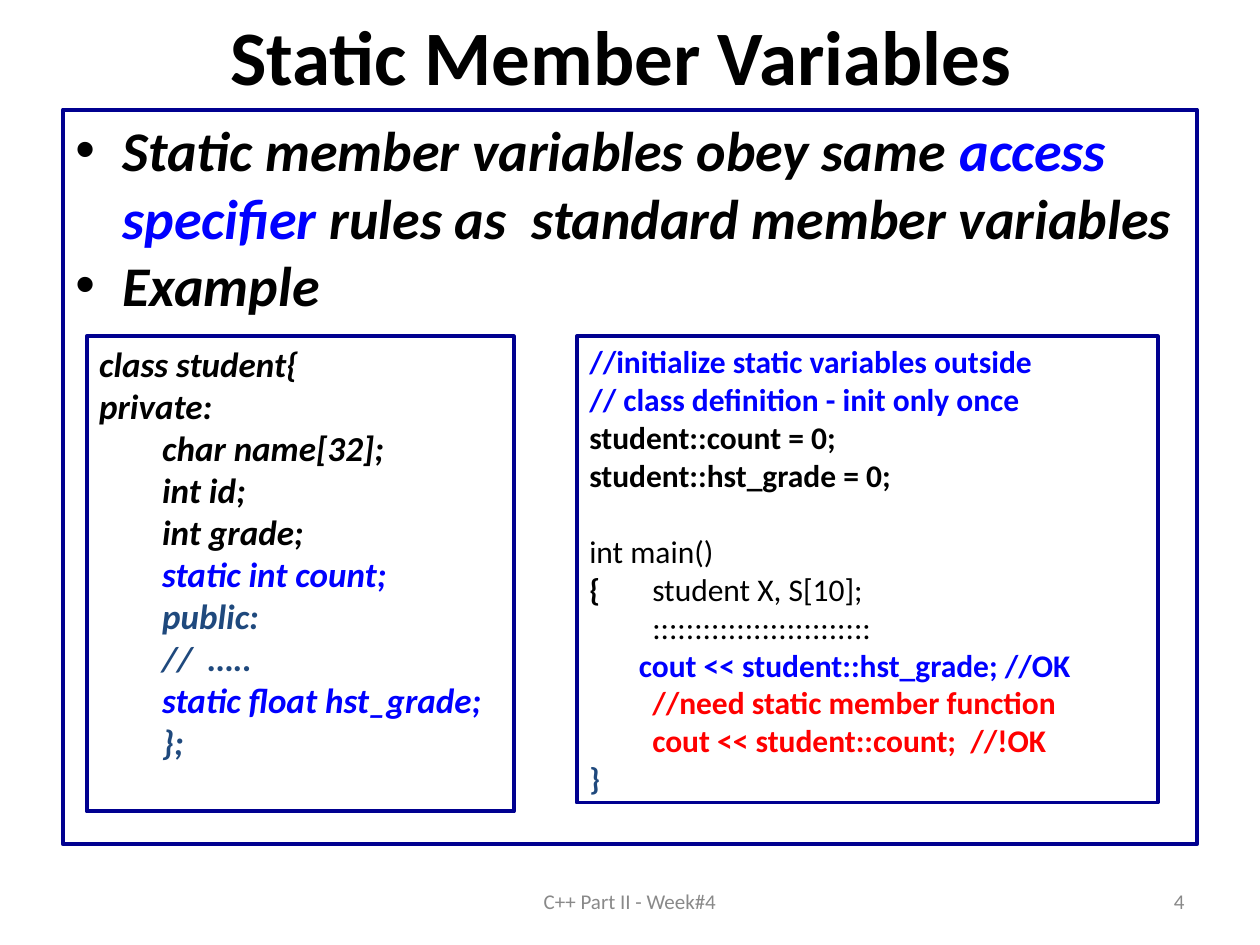
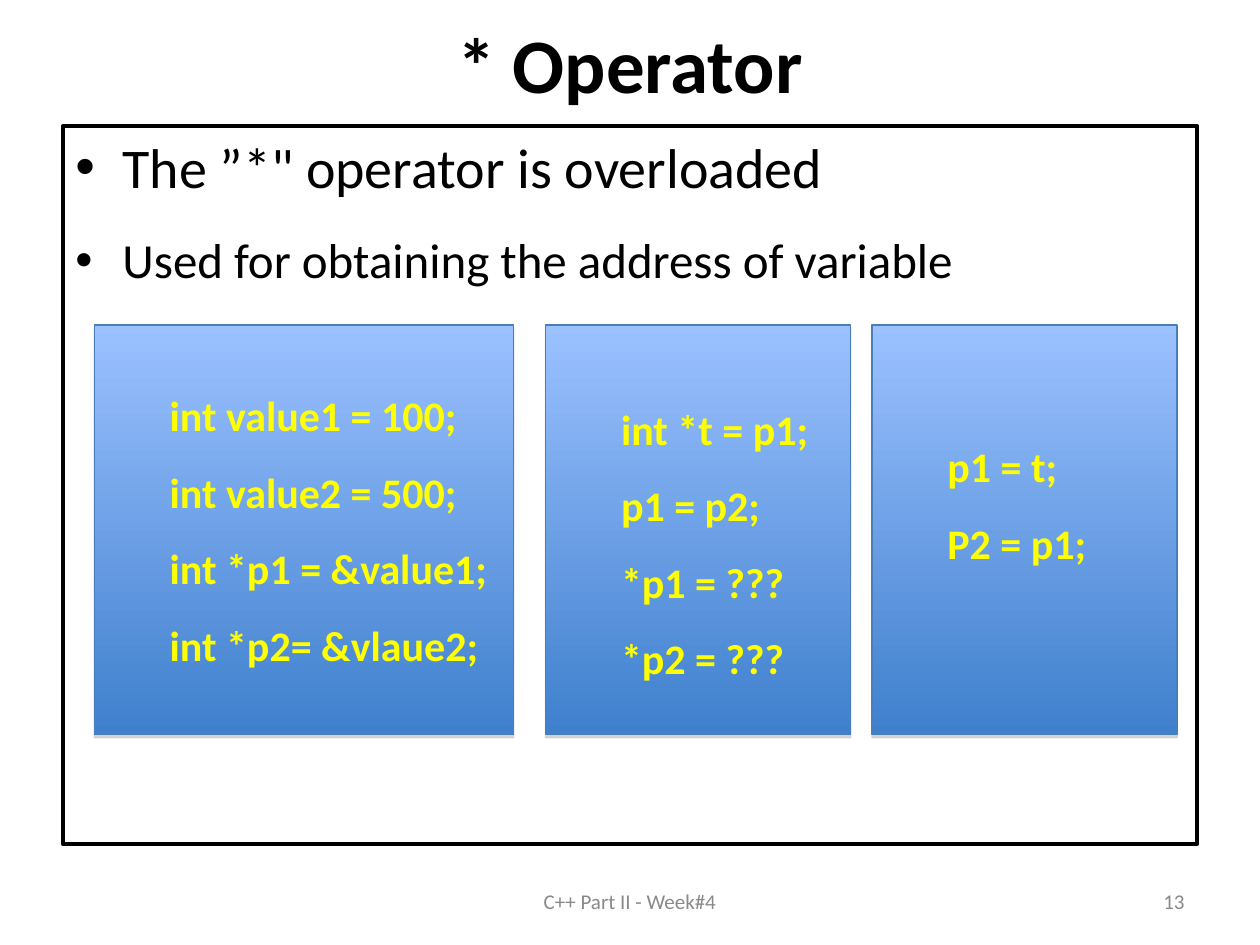
"""Build two C++ lecture slides: static member variables and the * operator."""
from dataclasses import dataclass

from lxml.etree import SubElement
from pptx import Presentation
from pptx.dml.color import RGBColor
from pptx.enum.shapes import MSO_SHAPE
from pptx.enum.text import MSO_ANCHOR, MSO_AUTO_SIZE, PP_ALIGN
from pptx.oxml import parse_xml
from pptx.oxml.ns import nsdecls, qn
from pptx.util import Cm, Pt

FONT = "Calibri"
BLACK, NAVY, BLUE = "000000", "000090", "0000FF"
STEEL, RED, YELLOW, GREY = "1F497D", "FF0000", "FFFF00", "898989"
SKY, OCEAN, EDGE = "9BC1FF", "3F80CD", "4A7EBB"
FRAME_LEFT, FRAME_WIDTH, FRAME_BOTTOM = 1.27, 22.86, 17.02
TAB = 1.27
FOOTER = "C++ Part II - Week#4"


def colour(code):
    """Turn a hex string into a colour."""
    return RGBColor.from_string(code)


@dataclass
class Span:
    """A piece of text with its own look; None keeps the look of the box."""
    text: str
    ink: str = None
    bold: bool = None


@dataclass
class Line:
    """One paragraph made of spans."""
    spans: list
    indent: float = 0
    before: float = 0
    size: float = None
    bullet: bool = False
    tab: float = 0


def line(text, ink=None, bold=None, **layout):
    """Make a paragraph of a single span."""
    return Line([Span(text, ink, bold)], **layout)


class Lecture:
    """Holds the deck, its style and the current page."""

    def __init__(self):
        """Start an empty 4:3 deck."""
        self.deck = Presentation()
        self.deck.slide_width, self.deck.slide_height = Cm(25.4), Cm(19.05)
        self.page = None

    def new_page(self, title, title_height, number):
        """Add a page with its title, footer and number."""
        self.page = self.deck.slides.add_slide(self.deck.slide_layouts[5])
        heading = self.page.shapes.title
        heading.left, heading.top = Cm(FRAME_LEFT), Cm(0)
        heading.width, heading.height = Cm(FRAME_WIDTH), Cm(title_height)
        self.set_text(heading, [line(title)], 44, bold=True,
                      align=PP_ALIGN.CENTER, anchor=MSO_ANCHOR.MIDDLE)
        self.footer(FOOTER, 8.68, 8.04, PP_ALIGN.CENTER)
        self.footer(str(number), 18.2, 5.93, PP_ALIGN.RIGHT)

    def footer(self, text, left, width, align):
        """Add a small grey text at the foot of the page."""
        box = self.page.shapes.add_textbox(Cm(left), Cm(17.66), Cm(width), Cm(1.01))
        self.set_text(box, [line(text)], 12, ink=GREY, align=align,
                      anchor=MSO_ANCHOR.MIDDLE)

    def rectangle(self, left, top, width, height, edge, weight):
        """Add an unfilled rectangle with a coloured border."""
        box = self.page.shapes.add_shape(
            MSO_SHAPE.RECTANGLE, Cm(left), Cm(top), Cm(width), Cm(height))
        box.shadow.inherit = False
        box.fill.background()
        box.line.color.rgb = colour(edge)
        box.line.width = Pt(weight)
        return box

    def frame(self, top, edge, lines, **look):
        """Add the large bordered body of the page."""
        box = self.rectangle(FRAME_LEFT, top, FRAME_WIDTH, FRAME_BOTTOM - top,
                             edge, 2.25)
        self.set_text(box, lines, 32, **look)

    def code(self, left, width, height, lines, size, **look):
        """Add a bordered code listing."""
        box = self.rectangle(left, 6.78, width, height, NAVY, 2.25)
        self.set_text(box, lines, size, bold=True, **look)

    def panel(self, left, width, texts, above=0.13, below=0.13):
        """Add a shaded panel of yellow statements."""
        box = self.rectangle(left, 6.55, width, 8.26, EDGE, 0.75)
        box.fill.gradient()
        box.fill.gradient_angle = 270
        for stop, shade in zip(box.fill.gradient_stops, (SKY, OCEAN)):
            stop.color.rgb = colour(shade)
        properties = box._element.spPr
        properties.remove(properties.find(qn("a:effectLst")))
        properties.append(parse_xml(
            f'<a:effectLst {nsdecls("a")}><a:outerShdw blurRad="0" dist="22860" '
            'dir="5400000" rotWithShape="0"><a:srgbClr val="808080">'
            '<a:alpha val="35000"/></a:srgbClr></a:outerShdw></a:effectLst>'))
        lines = [line(text, indent=TAB, before=15) for text in texts]
        self.set_text(box, lines, 24, ink=YELLOW, bold=True,
                      anchor=MSO_ANCHOR.MIDDLE)
        box.text_frame.margin_top, box.text_frame.margin_bottom = Cm(above), Cm(below)

    def set_text(self, box, lines, size, ink=BLACK, bold=False, italic=False,
                 align=PP_ALIGN.LEFT, anchor=MSO_ANCHOR.TOP):
        """Fill a shape with formatted paragraphs."""
        frame = box.text_frame
        frame.word_wrap = True
        frame.auto_size = MSO_AUTO_SIZE.NONE
        frame.vertical_anchor = anchor
        for index, item in enumerate(lines):
            para = frame.add_paragraph() if index else frame.paragraphs[0]
            para.alignment = align
            para.space_before = Pt(item.before)
            self.indent(para, item)
            for span in item.spans:
                run = para.add_run()
                run.text = span.text
                run.font.name = FONT
                run.font.size = Pt(item.size or size)
                run.font.color.rgb = colour(span.ink or ink)
                run.font.bold = bold if span.bold is None else span.bold
                run.font.italic = italic

    def indent(self, para, item):
        """Set the indent, bullet and tab stop of a paragraph."""
        properties = para._p.get_or_add_pPr()
        left = 0.95 if item.bullet else item.indent
        properties.set("marL", str(Cm(left)))
        properties.set("indent", str(Cm(-left if item.bullet else 0)))
        if item.bullet:
            tint = SubElement(properties, qn("a:buClr"))
            SubElement(tint, qn("a:srgbClr"), val=BLACK)
            SubElement(properties, qn("a:buFont"), typeface="Arial")
            SubElement(properties, qn("a:buChar"), char="•")
        if item.tab:
            stops = SubElement(properties, qn("a:tabLst"))
            SubElement(stops, qn("a:tab"), pos=str(Cm(item.tab)), algn="l")


def static_members(lecture):
    """Build the page on static member variables."""
    lecture.new_page("Static Member Variables ", 2.21, 4)
    lecture.frame(2.21, NAVY, [
        Line([Span("Static member variables obey same "),
              Span("access specifier", BLUE),
              Span(" rules as  standard member variables")],
             before=20, bullet=True),
        line("Example", bullet=True),
    ], bold=True, italic=True)
    members = [("char name[32];", BLACK), ("int id;", BLACK),
               ("int grade;", BLACK), ("static int count;", BLUE),
               ("public:", STEEL), ("//  …..", STEEL),
               ("static float hst_grade;", BLUE), ("};", STEEL)]
    lecture.code(1.75, 8.61, 9.58, [
        line("class student{"),
        line("private:"),
        *[line(text, ink, indent=TAB) for text, ink in members],
    ], 20, italic=True)
    lecture.code(11.63, 11.71, 9.4, [
        line("//initialize static variables outside", BLUE),
        line("// class definition - init only once", BLUE),
        line("student::count = 0;"),
        line("student::hst_grade = 0;"),
        line("int main()", bold=False, before=22),
        Line([Span("{\t"), Span("student X, S[10];", bold=False)], tab=TAB),
        line("::::::::::::::::::::::::::", bold=False, indent=TAB),
        line("cout << student::hst_grade; //OK", BLUE, indent=1),
        line("//need static member function", RED, indent=TAB),
        line("cout << student::count;  //!OK", RED, indent=TAB),
        line("}", STEEL),
    ], 18)


def star_operator(lecture):
    """Build the page on the * operator."""
    lecture.new_page("* Operator", 2.54, 13)
    lecture.frame(2.54, BLACK, [
        line("The ”*\" operator is overloaded", before=8, bullet=True),
        line("Used for obtaining the address of variable", before=17.5,
             size=28, bullet=True),
    ])
    lecture.panel(1.9, 8.46, ["int value1 = 100;", "int value2 = 500;",
                              "int *p1 = &value1;", "int *p2= &vlaue2;"])
    lecture.panel(11, 6.15, ["int *t = p1;", "p1 = p2;", "*p1 = ???",
                             "*p2 = ???"], above=0.67)
    lecture.panel(17.58, 6.15, ["p1 = t;", "P2 = p1;"], below=1.15)


def main():
    """Build both pages and save the deck."""
    lecture = Lecture()
    static_members(lecture)
    star_operator(lecture)
    lecture.deck.save("out.pptx")


if __name__ == "__main__":
    main()
